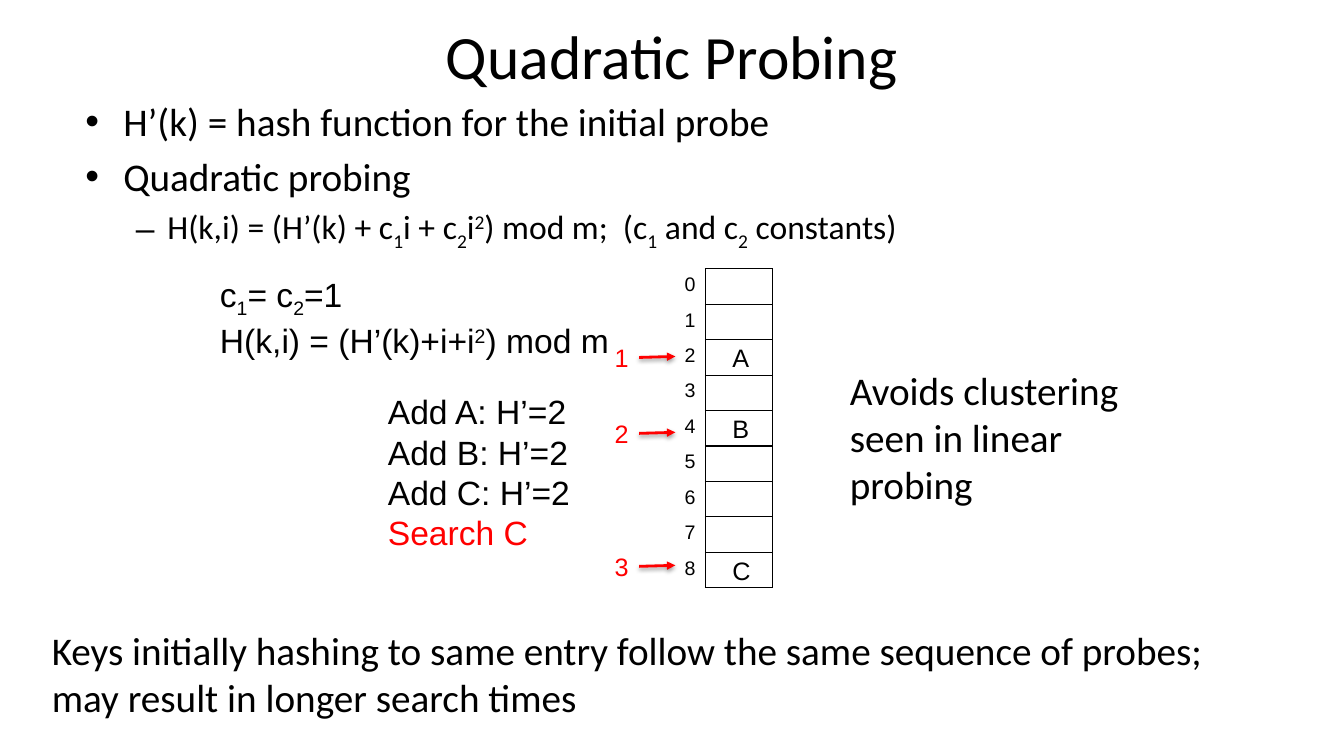
from dataclasses import dataclass

from lxml import etree
from pptx import Presentation
from pptx.dml.color import RGBColor
from pptx.enum.shapes import MSO_CONNECTOR
from pptx.enum.text import MSO_ANCHOR, MSO_AUTO_SIZE, PP_ALIGN
from pptx.oxml import parse_xml
from pptx.oxml.ns import nsdecls, qn
from pptx.util import Inches, Pt

STRAIGHT = MSO_CONNECTOR.STRAIGHT
MIDDLE = MSO_ANCHOR.MIDDLE
GROW = MSO_AUTO_SIZE.SHAPE_TO_FIT_TEXT
CENTER, RIGHT = PP_ALIGN.CENTER, PP_ALIGN.RIGHT

TITLE = "Quadratic Probing"
DEFINITIONS = [
    (0, ["H’(k) = hash function for the initial probe"]),
    (0, ["Quadratic probing"]),
    (1, ["H(k,i) = (H’(k) + c", "_1", "i + c", "_2", "i", "^2",
         ") mod m;  (c", "_1", " and c", "_2", " constants)"]),
]
EXAMPLE_HASH = [
    ["c", "_1", "= c", "_2", "=1"],
    ["H(k,i) = (H’(k)+i+i", "^2", ") mod m"],
]
OPERATIONS = [["Add A: H’=2"], ["Add B: H’=2"], ["Add C: H’=2"], ["Search C"]]
BENEFIT = [["Avoids clustering seen in linear probing"]]
DRAWBACK = [["Keys initially hashing to same entry follow the same sequence "
             "of probes; may result in longer search times"]]
SLOTS = 9
ENTRIES = {"A": 2, "B": 4, "C": 8}
PROBES = {"1": 2, "2": 4.14, "3": 7.89}


@dataclass(frozen=True)
class Theme:
    ink: RGBColor = RGBColor(0, 0, 0)
    accent: RGBColor = RGBColor(255, 0, 0)
    heading: str = "Calibri"
    example: str = "Arial"
    title: int = 44
    body: int = 28
    detail: int = 24
    label: int = 18
    index: int = 14


THEME = Theme()
COLUMNS, ROWS = 160, 90
UNIT = Inches(7.5) // ROWS
BULLETS = [("•", 4.5, -4.5, THEME.body), ("–", 9.75, -3.75, THEME.detail)]
BASELINES = {"_": "-25000", "^": "30000"}

HASH_LEFT, HASH_TOP, HASH_HEIGHT = 84, 32, 38
SLOT_WIDTH, INDEX_WIDTH = 8, 6
SLOT_HEIGHT = HASH_HEIGHT / SLOTS
LABEL_WIDTH, LABEL_HEIGHT = 4.44, 4.8
PROBE_LEFT, ARROW_LEFT, ARROW_RIGHT = 72, 76.1, 80.4


def grid(*lengths):
    return [round(length * UNIT) for length in lengths]


def slot_center(slot):
    return HASH_TOP + (slot + 0.5) * SLOT_HEIGHT


def style(run, face, size, color=THEME.ink):
    run.font.name = face
    run.font.size = Pt(size)
    run.font.color.rgb = color


def write(paragraph, pieces, face, size, color=THEME.ink):
    for piece in pieces:
        run = paragraph.add_run()
        baseline = BASELINES.get(piece[0])
        run.text = piece[1:] if baseline else piece
        style(run, face, size, color)
        if baseline:
            run.font._element.set("baseline", baseline)


def add_text(shapes, area, lines, face, size, color=THEME.ink, wrap=False, gap=0):
    frame = shapes.add_textbox(*grid(*area)).text_frame
    frame.word_wrap = wrap
    if not wrap:
        frame.auto_size = GROW
    for number, pieces in enumerate(lines):
        paragraph = frame.add_paragraph() if number else frame.paragraphs[0]
        if gap:
            paragraph.space_before = Pt(gap * size)
        write(paragraph, pieces, face, size, color)
    return frame


def add_bullet(paragraph, symbol, margin, indent):
    properties = paragraph._p.get_or_add_pPr()
    properties.set("marL", str(round(margin * UNIT)))
    properties.set("indent", str(round(indent * UNIT)))
    etree.SubElement(properties, qn("a:buFont")).set("typeface", THEME.example)
    etree.SubElement(properties, qn("a:buChar")).set("char", symbol)


def add_column(shapes, left, width, border):
    table = shapes.add_table(
        SLOTS, 1, *grid(left, HASH_TOP, width, HASH_HEIGHT)).table
    table.first_row = table.horz_banding = False
    for row in table.rows:
        row.height = grid(SLOT_HEIGHT)[0]
        cell = row.cells[0]
        cell.margin_top = cell.margin_bottom = 0
        cell.fill.background()
        for position, side in enumerate("LRTB"):
            cell._tc.get_or_add_tcPr().insert(position, parse_xml(
                f'<a:ln{side} {nsdecls("a")} w="12700">{border}</a:ln{side}>'))
    return table


def add_arrow(shapes, center):
    arrow = shapes.add_connector(
        STRAIGHT, *grid(ARROW_LEFT, center, ARROW_RIGHT, center - 0.12))
    arrow.line.color.rgb = THEME.accent
    arrow.line.width = Pt(2)
    etree.SubElement(arrow.line._get_or_add_ln(), qn("a:tailEnd")).set(
        "type", "triangle")
    arrow._element.spPr.append(parse_xml(
        f'<a:effectLst {nsdecls("a")}><a:outerShdw blurRad="39370" dist="20320" '
        'dir="5400000" rotWithShape="0"><a:srgbClr val="000000">'
        '<a:alpha val="38000"/></a:srgbClr></a:outerShdw></a:effectLst>'))


def add_label(shapes, text, left, center, color=THEME.ink):
    area = left, center - LABEL_HEIGHT / 2, LABEL_WIDTH, LABEL_HEIGHT
    add_text(shapes, area, [[text]], THEME.example, THEME.label, color)


def main():
    deck = Presentation()
    deck.slide_width, deck.slide_height = grid(COLUMNS, ROWS)
    slide = deck.slides.add_slide(deck.slide_layouts[5])
    shapes = slide.shapes

    title = shapes.title
    title.left, title.top, title.width, title.height = grid(26, 1, 108, 11)
    title.text_frame.text = TITLE
    title.text_frame.vertical_anchor = MIDDLE
    heading = title.text_frame.paragraphs[0]
    heading.alignment = CENTER
    style(heading.runs[0], THEME.heading, THEME.title)

    add_text(shapes, (5, 74, 144, 13), DRAWBACK, THEME.heading, THEME.body,
             wrap=True, gap=0.2)
    definitions = add_text(shapes, (9, 11, 144, 20),
                           [pieces for _, pieces in DEFINITIONS],
                           THEME.heading, THEME.body, wrap=True, gap=0.2)
    for paragraph, (level, _) in zip(definitions.paragraphs, DEFINITIONS):
        symbol, margin, indent, size = BULLETS[level]
        paragraph.level = level
        paragraph.space_before = Pt(0.2 * size)
        add_bullet(paragraph, symbol, margin, indent)
        for run in paragraph.runs:
            run.font.size = Pt(size)

    add_column(shapes, HASH_LEFT, SLOT_WIDTH,
               f'<a:solidFill><a:srgbClr val="{THEME.ink}"/></a:solidFill>')
    indexes = add_column(shapes, HASH_LEFT - INDEX_WIDTH, INDEX_WIDTH, "<a:noFill/>")
    for slot in range(SLOTS):
        cell = indexes.cell(slot, 0)
        cell.margin_top = Inches(0.05)
        cell.text_frame.text = str(slot)
        paragraph = cell.text_frame.paragraphs[0]
        paragraph.alignment = RIGHT
        style(paragraph.runs[0], THEME.example, THEME.index)

    operations = add_text(shapes, (45, 46, 24.36, 20.64), OPERATIONS,
                          THEME.example, THEME.detail)
    operations.paragraphs[-1].runs[0].font.color.rgb = THEME.accent
    add_text(shapes, (25, 32, 50.52, 10.92), EXAMPLE_HASH,
             THEME.example, THEME.detail)
    for key, slot in ENTRIES.items():
        add_label(shapes, key, HASH_LEFT + (SLOT_WIDTH - LABEL_WIDTH) / 2 + 0.22,
                  slot_center(slot))
    add_text(shapes, (100, 43, 37, 18), BENEFIT, THEME.heading, THEME.body,
             wrap=True, gap=0.2)
    for step, slot in PROBES.items():
        probe = shapes.add_group_shape().shapes
        add_label(probe, step, PROBE_LEFT, slot_center(slot), THEME.accent)
        add_arrow(probe, slot_center(slot))

    deck.save("out.pptx")


if __name__ == "__main__":
    main()
